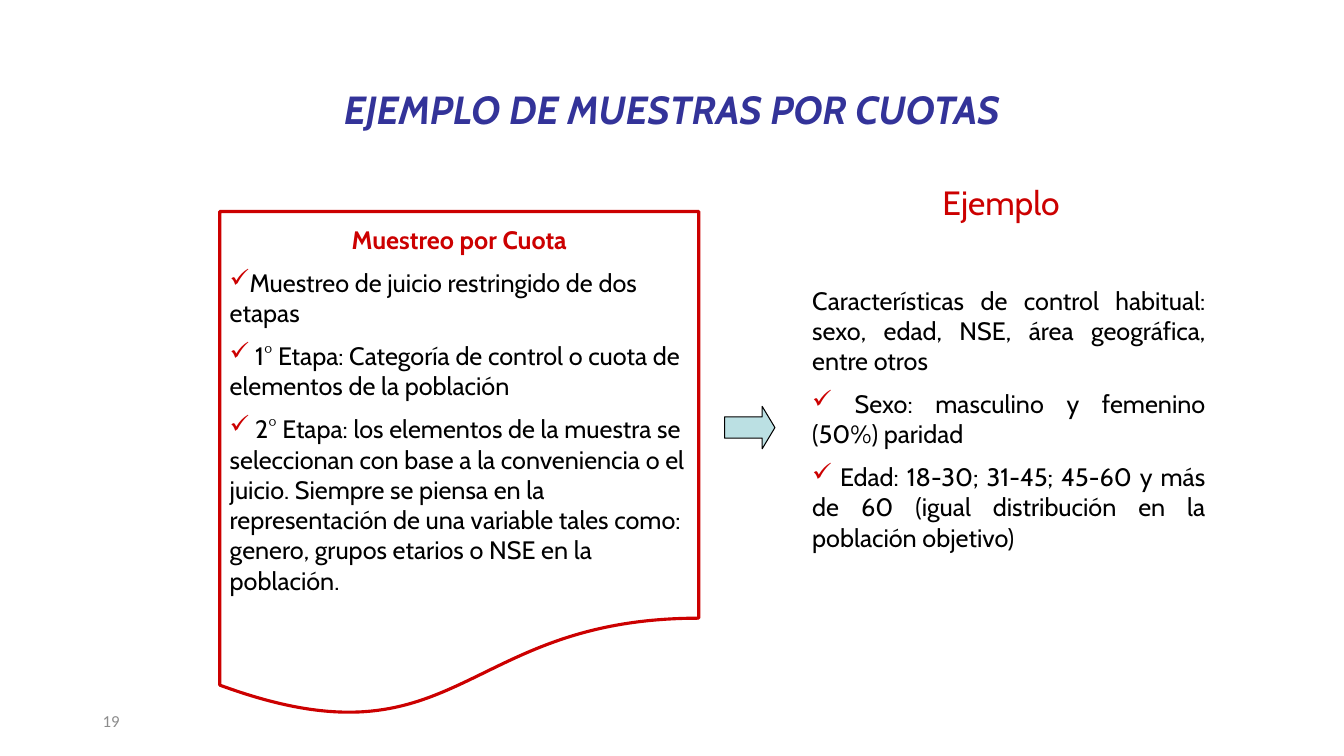
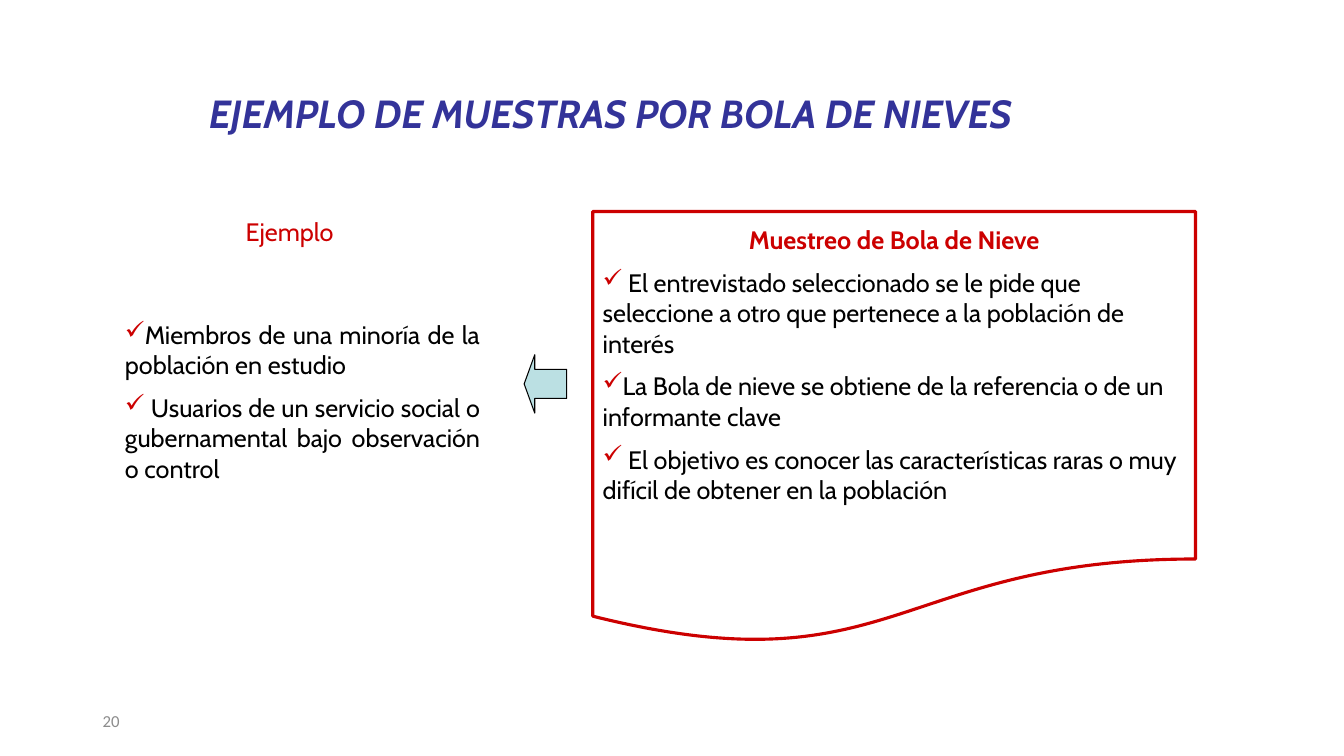
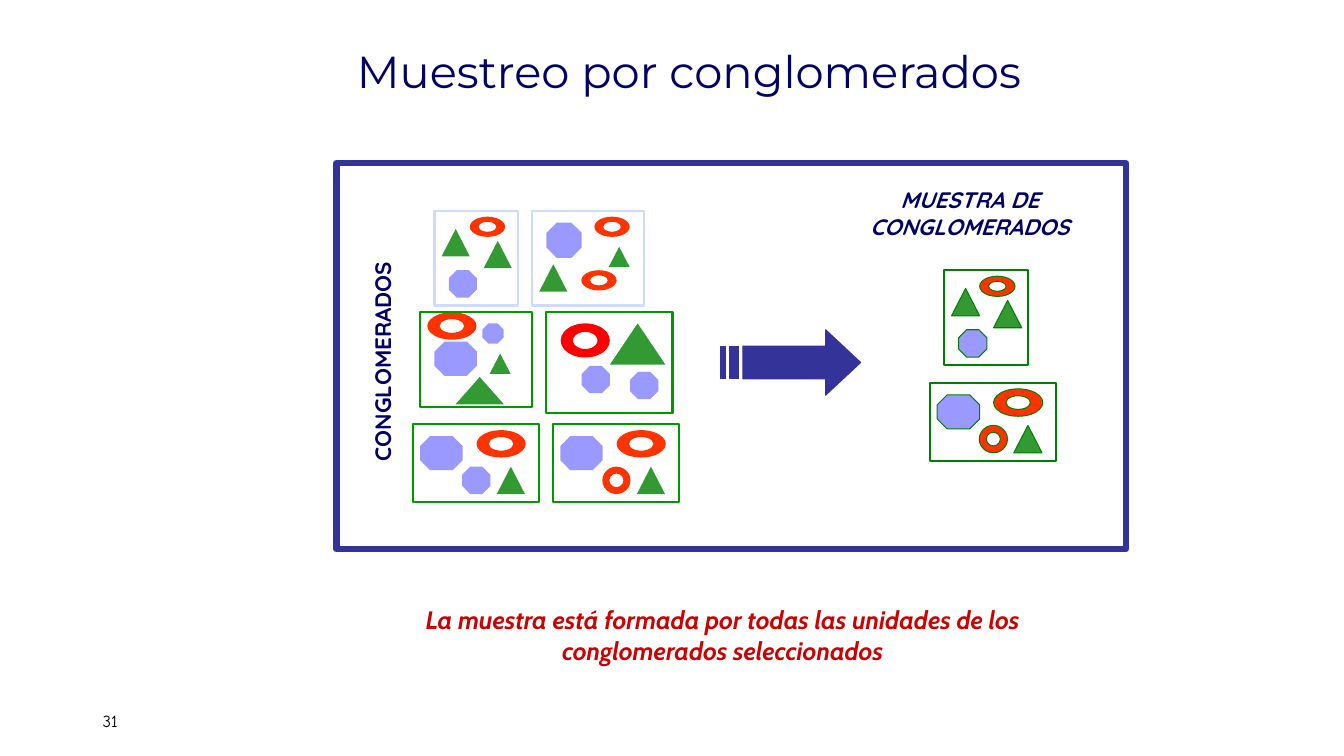
from lxml import etree
from pptx import Presentation
from pptx.dml.color import RGBColor
from pptx.enum import shapes, text
from pptx.oxml import ns
from pptx.util import Cm, Pt

INDIGO = RGBColor(0x33, 0x33, 0x99)
NAVY = RGBColor(0x00, 0x00, 0x66)
CRIMSON = RGBColor(0xCC, 0x00, 0x00)
BLACK = RGBColor(0x00, 0x00, 0x00)
GRAY = RGBColor(0x8C, 0x8C, 0x8C)
PALE_TEAL = RGBColor(0xBB, 0xE0, 0xE3)
LEAF = RGBColor(0x33, 0x99, 0x33)
LILAC = RGBColor(0x99, 0x99, 0xFF)
ORANGE = RGBColor(0xFF, 0x33, 0x00)
RED = RGBColor(0xFF, 0x00, 0x00)
PALE_BLUE = RGBColor(0xCF, 0xDB, 0xFD)
GREEN = RGBColor(0x00, 0x99, 0x00)
DARK_GREEN = RGBColor(0x00, 0x80, 0x00)

MSO = shapes.MSO_SHAPE
LEFT, CENTER, JUSTIFY = text.PP_ALIGN.LEFT, text.PP_ALIGN.CENTER, text.PP_ALIGN.JUSTIFY
TOP, MIDDLE, BOTTOM = (text.MSO_ANCHOR.TOP, text.MSO_ANCHOR.MIDDLE,
                       text.MSO_ANCHOR.BOTTOM)


def cm(*values):
    return [Cm(v) for v in values]


# Shared text and shape helpers
def write(tf, content, size=18, font="Cabin", color=BLACK, bold=False,
          italic=False, align=LEFT, check=False, first=True):
    """Write one paragraph; a later one stands half a line lower."""
    p = tf.paragraphs[0] if first else tf.add_paragraph()
    p.alignment = align
    p.space_before = Pt(0 if first else size / 2)
    r = p.add_run()
    r.text = content
    f = r.font
    f.name, f.size, f.bold, f.italic = font, Pt(size), bold, italic
    f.color.rgb = color
    if check:
        pPr = p._p.get_or_add_pPr()
        pPr.set("marL", "0")
        pPr.set("indent", "0")
        clr = etree.SubElement(pPr, ns.qn("a:buClr"))
        etree.SubElement(clr, ns.qn("a:srgbClr"), val=str(CRIMSON))
        etree.SubElement(pPr, ns.qn("a:buChar"), char="✓")


def frame(sp, anchor=TOP):
    tf = sp.text_frame
    tf.word_wrap = True
    tf.auto_size = text.MSO_AUTO_SIZE.NONE
    tf.vertical_anchor = anchor
    return tf


def label(slide, box, content, anchor=TOP, **fmt):
    sp = slide.shapes.add_textbox(*cm(*box))
    write(frame(sp, anchor), content, **fmt)
    return sp


def paint(sp, fill=None, line=None, width=0.75):
    sp.shadow.inherit = False
    if fill is None:
        sp.fill.background()
    else:
        sp.fill.solid()
        sp.fill.fore_color.rgb = fill
    if line is None:
        sp.line.fill.background()
    else:
        sp.line.color.rgb = line
        sp.line.width = Pt(width)
    return sp


def shape(parent, kind, box, **style):
    return paint(parent.shapes.add_shape(kind, *cm(*box)), **style)


def outline(parent, contours, **style):
    """Draw closed contours, given in cm, as one shape."""
    builder = None
    for points in contours:
        points = [cm(*pt) for pt in points]
        if builder is None:
            builder = parent.shapes.build_freeform(*points[0])
        else:
            builder.move_to(*points[0])
        builder.add_line_segments(points[1:], close=True)
    return paint(builder.convert_to_shape(), **style)


def new_slide(prs, number, title, box, anchor=MIDDLE, num_font="Calibri",
              num_color=GRAY, **fmt):
    slide = prs.slides.add_slide(prs.slide_layouts[5])
    sp = slide.shapes.title
    sp.left, sp.top, sp.width, sp.height = cm(*box)
    style = dict(size=28, color=INDIGO, bold=True, italic=True, align=CENTER)
    write(frame(sp, anchor), title, **{**style, **fmt})
    label(slide, (2.34, 17.65, 7.62, 1.02), str(number), MIDDLE,
          size=12, font=num_font, color=num_color)
    return slide


# Parts of the sampling example slides
def definition(slide, box, heading, items):
    sp = shape(slide, MSO.FLOWCHART_DOCUMENT, box, line=CRIMSON, width=2.25)
    tf = frame(sp)
    tf.margin_left = tf.margin_right = Cm(0.25)
    tf.margin_top = tf.margin_bottom = Cm(0.33)
    write(tf, heading, color=CRIMSON, bold=True, align=CENTER)
    for item in items:
        write(tf, item, check=True, first=False)


def example(slide, head_box, head_size, box, items, intro=None):
    label(slide, head_box, "Ejemplo", size=head_size, color=CRIMSON)
    tf = frame(slide.shapes.add_textbox(*cm(*box)))
    if intro:
        write(tf, intro, align=JUSTIFY)
    for i, item in enumerate(items):
        write(tf, item, align=JUSTIFY, check=True, first=i == 0 and not intro)


def pointer(slide, kind, box, head):
    sp = shape(slide, kind, box, fill=PALE_TEAL, line=BLACK)
    sp.adjustments[0], sp.adjustments[1] = 0.5, head


def quota_slide(prs):
    slide = new_slide(prs, 19, "EJEMPLO DE MUESTRAS POR CUOTAS", (5.08, 1.75, 23.7, 2))
    pointer(slide, MSO.RIGHT_ARROW, (18.26, 10.24, 1.27, 1.07), 0.3)
    example(slide, (23.5, 4.45, 4.01, 1.27), 24, (20.22, 7.06, 10.41, 7.95), [
        " Sexo: masculino y femenino (50%) paridad",
        " Edad: 18-30; 31-45; 45-60 y más de 60 (igual distribución en la "
        "población objetivo)",
    ], intro="Características de control habitual: sexo, edad, NSE, área "
             "geográfica, entre otros")
    definition(slide, (5.54, 5.33, 12.07, 12.78), "Muestreo por Cuota", [
        "Muestreo de juicio restringido de dos etapas",
        " 1° Etapa: Categoría de control o cuota de elementos de la población",
        " 2° Etapa: los elementos de la muestra se seleccionan con base a la "
        "conveniencia o el juicio. Siempre se piensa en la representación de una "
        "variable tales como: genero, grupos etarios o NSE en la población.",
    ])


def snowball_slide(prs):
    slide = new_slide(prs, 20, "EJEMPLO DE MUESTRAS POR BOLA DE NIEVES",
                      (3.53, 1.84, 23.7, 2))
    pointer(slide, MSO.LEFT_ARROW, (13.21, 8.94, 1.07, 1.47), 0.25)
    example(slide, (5.94, 5.33, 3.81, 1.12), 18, (2.9, 7.92, 9.45, 4.95), [
        "Miembros de una minoría de la población en estudio",
        " Usuarios de un servicio social o gubernamental bajo observación o control",
    ])
    definition(slide, (14.94, 5.33, 15.19, 10.92), "Muestreo de Bola de Nieve", [
        " El entrevistado seleccionado se le pide que seleccione a otro que "
        "pertenece a la población de interés",
        "La Bola de nieve se obtiene de la referencia o de un informante clave",
        " El objetivo es conocer las características raras o muy difícil de "
        "obtener en la población",
    ])


# Clusters: size of the box, then its units as kind, left, top and size
TINY, SMALL, LARGE = (0.53, 0.51), (0.71, 0.69), (1.07, 0.86)
OVAL, WIDE_OVAL = (0.89, 0.51), (1.24, 0.69)
WIDE_UNITS = [("tri", 2.11, 1.07, SMALL), ("oct", 0.18, 0.3, LARGE),
              ("ring", 1.6, 0.15, WIDE_OVAL)]
CLUSTERS = {
    "A": ((2.11, 2.39), [("tri", 0.18, 0.46, SMALL), ("tri", 1.24, 0.76, SMALL),
                         ("oct", 0.36, 1.5, SMALL), ("ring", 0.89, 0.15, OVAL)]),
    "B": ((2.82, 2.39), [("tri", 0.18, 1.35, SMALL), ("tri", 1.93, 0.91, TINY),
                         ("oct", 0.36, 0.3, (0.89, 0.89)),
                         ("ring", 1.57, 0.15, OVAL), ("ring", 1.24, 1.5, OVAL)]),
    "C": ((2.82, 2.39), [("tri", 0.89, 1.63, (1.22, 0.69)), ("tri", 1.75, 1.04, TINY),
                         ("oct", 0.36, 0.74, LARGE), ("oct", 1.57, 0.28, TINY),
                         ("ring", 0.18, 0, WIDE_OVAL)]),
    "D": ((3.18, 2.54), [("tri", 1.6, 0.28, (1.4, 1.04)), ("oct", 2.11, 1.5, SMALL),
                         ("oct", 0.89, 1.35, SMALL),
                         ("red ring", 0.36, 0.28, (1.24, 0.86))]),
    "E": ((3.18, 1.96), WIDE_UNITS + [("oct", 1.24, 1.07, SMALL)]),
    "F": ((3.18, 1.96), WIDE_UNITS + [("ring", 1.24, 1.07, SMALL)]),
}
UNIT_SHAPES = {"tri": (MSO.ISOSCELES_TRIANGLE, LEAF), "oct": (MSO.OCTAGON, LILAC)}


def ring(parent, box, **style):
    """An oval with a hole half as wide and half as high."""
    x, y, w, h = box
    cx, cy = x + w / 2, y + h / 2

    def diamond(scale, turn):
        rx, ry = w / 2 * scale, h / 2 * scale
        left = (cx - rx, cy)
        return [left, (cx, cy - turn * ry), (cx + rx, cy), (cx, cy + turn * ry), left]

    sp = outline(parent, [diamond(1, 1), diamond(0.5, -1)], **style)
    # Round each side of the two diamonds into a quarter arc
    for i, side in enumerate(list(sp._element.iter(ns.qn("a:lnTo")))):
        scale, turn = (1, 1) if i < 4 else (0.5, -1)
        arc = etree.Element(
            ns.qn("a:arcTo"), wR=str(int(Cm(w / 2 * scale))),
            hR=str(int(Cm(h / 2 * scale))),
            stAng=str((180 + turn * 90 * (i % 4)) % 360 * 60000),
            swAng=str(turn * 90 * 60000))
        side.getparent().replace(side, arc)


def cluster(slide, name, x, y, border, unit_line=None):
    size, units = CLUSTERS[name]
    group = slide.shapes.add_group_shape()
    for kind, dx, dy, unit_size in units:
        box = (x + dx, y + dy, *unit_size)
        if kind in UNIT_SHAPES:
            preset, fill = UNIT_SHAPES[kind]
            shape(group, preset, box, fill=fill, line=unit_line)
        else:
            ring(group, box, fill=RED if kind == "red ring" else ORANGE,
                 line=unit_line)
    shape(group, MSO.RECTANGLE, (x, y, *size), line=border, width=1.5)


def striped_arrow(slide, box):
    x, y, w, h = box
    top, bottom, neck = y + h / 4, y + h * 3 / 4, x + w * 0.75
    head = [(neck, y), (neck, top), (x + 0.56, top), (x + 0.56, bottom),
            (neck, bottom), (neck, y + h), (x + w, y + h / 2)]
    stripes = [[(x + a, top), (x + a, bottom), (x + b, bottom), (x + b, top)]
               for a, b in ((0.23, 0.46), (0, 0.13))]
    outline(slide, [head] + stripes, fill=INDIGO, line=INDIGO)


def cluster_slide(prs):
    slide = new_slide(prs, 31, "Muestreo por conglomerados", (8.74, 1.32, 19.61, 1.27),
                      BOTTOM, num_font="Comic Neue", num_color=BLACK, size=32,
                      font="Montserrat", color=NAVY, bold=False, italic=False,
                      align=LEFT)
    heading = dict(size=16, font="Quicksand", color=NAVY, bold=True, align=CENTER)
    # Population on the left
    sp = label(slide, (6.12, 8.64, 7.04, 0.94), "CONGLOMERADOS", **heading)
    sp.rotation = 270
    for name, x, y, border in [
            ("A", 10.95, 5.31, PALE_BLUE), ("B", 13.41, 5.31, PALE_BLUE),
            ("C", 10.59, 7.87, GREEN), ("D", 13.77, 7.87, GREEN),
            ("E", 10.41, 10.69, GREEN), ("F", 13.94, 10.69, GREEN)]:
        cluster(slide, name, x, y, border)
    striped_arrow(slide, (18.16, 8.31, 3.53, 1.65))
    # Sample on the right
    label(slide, (21.39, 4.57, 6.1, 1.63), "MUESTRA DE CONGLOMERADOS",
          italic=True, **heading)
    cluster(slide, "A", 23.8, 6.81, DARK_GREEN, DARK_GREEN)
    cluster(slide, "F", 23.44, 9.65, DARK_GREEN, DARK_GREEN)
    # Frame and conclusion
    shape(slide, MSO.RECTANGLE, (8.48, 4.11, 19.89, 9.73), line=INDIGO, width=4.5)
    label(slide, (9.32, 15.11, 17.78, 1.78),
          "La muestra está formada por todas las unidades de los conglomerados "
          "seleccionados", color=CRIMSON, bold=True, italic=True, align=CENTER)


def main():
    prs = Presentation()
    prs.slide_width, prs.slide_height = cm(33.87, 19.05)
    quota_slide(prs)
    snowball_slide(prs)
    cluster_slide(prs)
    prs.save("out.pptx")


if __name__ == "__main__":
    main()
